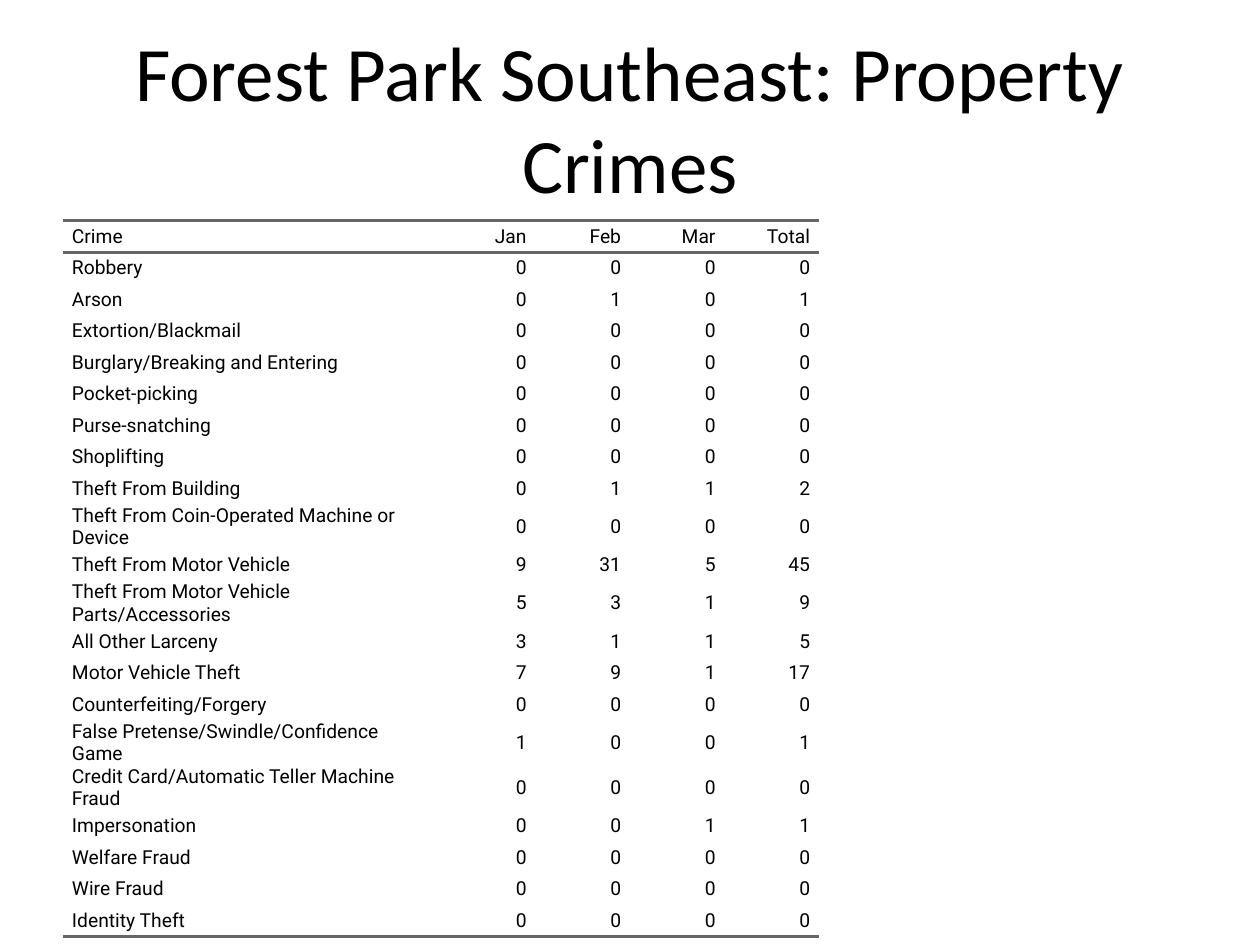
from dataclasses import dataclass

from lxml import etree
from pptx import Presentation
from pptx.dml.color import RGBColor
from pptx.enum.text import MSO_ANCHOR, PP_ALIGN
from pptx.oxml.ns import qn
from pptx.util import Cm, Pt

LEFT, CENTER, RIGHT = PP_ALIGN.LEFT, PP_ALIGN.CENTER, PP_ALIGN.RIGHT
MIDDLE = MSO_ANCHOR.MIDDLE
NO_STYLE = "{2D5ABB26-0587-4C30-8999-92F81FD0307C}"


@dataclass(frozen=True)
class Theme:
    ink: str = "000000"
    rule: str = "666666"
    title_font: str = "Calibri"
    title_size: int = 44
    table_font: str = "Roboto"
    table_size: int = 11
    rule_width: int = 2


THEME = Theme()

HEADINGS = ("Crime", "Jan", "Feb", "Mar", "Total")
CRIMES = [
    ("Robbery", 0, 0, 0),
    ("Arson", 0, 1, 0),
    ("Extortion/Blackmail", 0, 0, 0),
    ("Burglary/Breaking and Entering", 0, 0, 0),
    ("Pocket-picking", 0, 0, 0),
    ("Purse-snatching", 0, 0, 0),
    ("Shoplifting", 0, 0, 0),
    ("Theft From Building", 0, 1, 1),
    ("Theft From Coin-Operated Machine or Device", 0, 0, 0),
    ("Theft From Motor Vehicle", 9, 31, 5),
    ("Theft From Motor Vehicle Parts/Accessories", 5, 3, 1),
    ("All Other Larceny", 3, 1, 1),
    ("Motor Vehicle Theft", 7, 9, 1),
    ("Counterfeiting/Forgery", 0, 0, 0),
    ("False Pretense/Swindle/Confidence Game", 1, 0, 0),
    ("Credit Card/Automatic Teller Machine Fraud", 0, 0, 0),
    ("Impersonation", 0, 0, 1),
    ("Welfare Fraud", 0, 0, 0),
    ("Wire Fraud", 0, 0, 0),
    ("Identity Theft", 0, 0, 0),
]


def write(frame, text, *, font, size, align=LEFT, indent=0):
    """Fill a text frame with one paragraph, indented equally on both sides."""
    frame.word_wrap = True
    paragraph = frame.paragraphs[0]
    paragraph.alignment = align
    if indent:
        for side in ("marL", "marR"):
            paragraph._p.get_or_add_pPr().set(side, str(indent))
    run = paragraph.add_run()
    run.text = text
    run.font.name = font
    run.font.size = Pt(size)
    run.font.color.rgb = RGBColor.from_string(THEME.ink)


def add_rule(cell, edge):
    """Draw a cell border; edge is lnT or lnB."""
    line = etree.SubElement(cell._tc.get_or_add_tcPr(), qn(f"a:{edge}"),
                            w=str(Pt(THEME.rule_width)))
    fill = etree.SubElement(line, qn("a:solidFill"))
    etree.SubElement(fill, qn("a:srgbClr"), val=THEME.rule)


prs = Presentation()
prs.slide_width, prs.slide_height = Cm(25.4), Cm(19.05)
slide = prs.slides.add_slide(prs.slide_layouts[6])

# Crime counts by month
rows = [HEADINGS] + [(*crime, sum(crime[1:])) for crime in CRIMES]
crime_width = Cm(7.62)
month_width = crime_width // 4
table_width = crime_width + month_width * (len(HEADINGS) - 1)
counts = slide.shapes.add_table(len(rows), len(HEADINGS), Cm(1.27), Cm(4.45),
                                table_width, Cm(13.34)).table
counts.first_row = counts.horz_banding = False
counts._tbl.tblPr.find(qn("a:tableStyleId")).text = NO_STYLE
for index, column in enumerate(counts.columns):
    column.width = month_width if index else crime_width

for row_index, row in enumerate(rows):
    for column_index, value in enumerate(row):
        cell = counts.cell(row_index, column_index)
        cell.margin_left = cell.margin_right = 0
        cell.margin_top = cell.margin_bottom = 0
        cell.vertical_anchor = MIDDLE
        write(cell.text_frame, str(value), font=THEME.table_font,
              size=THEME.table_size, align=RIGHT if column_index else LEFT,
              indent=Cm(0.18))
        if row_index == 0:
            add_rule(cell, "lnT")
        if row_index in (0, len(rows) - 1):
            add_rule(cell, "lnB")
        cell.fill.background()

# Title
title = slide.shapes.add_textbox(Cm(1.27), Cm(0.76), Cm(22.86), Cm(3.18)).text_frame
title.vertical_anchor = MIDDLE
write(title, "Forest Park Southeast: Property Crimes", font=THEME.title_font,
      size=THEME.title_size, align=CENTER)

prs.save("out.pptx")
